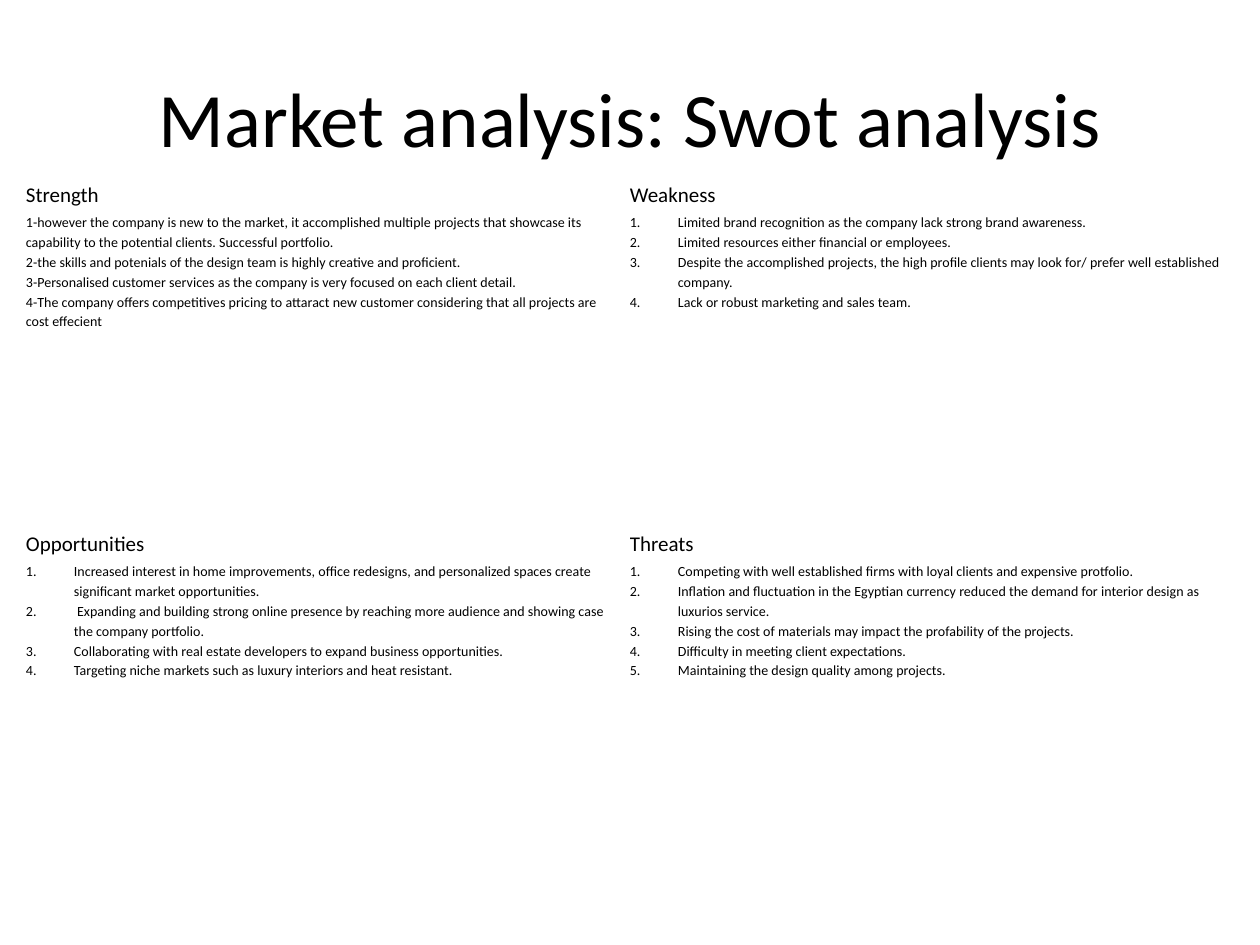
from dataclasses import dataclass

from lxml.etree import SubElement
from pptx import Presentation
from pptx.dml.color import RGBColor
from pptx.enum.text import MSO_ANCHOR as Anchor, PP_ALIGN as Align
from pptx.oxml.ns import qn
from pptx.util import Emu, Pt

SCALE = 914400 / 126
FONT = "Calibri"
COLORS = {"text": "000000"}
ROWS = (33, 316, 33, 323)
COLS = (604, 604)
INDENT = 48


@dataclass
class Panel:
    head: str
    lines: list[str]
    row: int
    col: int
    numbered: bool = True


PANELS = [
    Panel("Strength", [
        "1-however the company is new to the market, it accomplished multiple projects "
        "that showcase its capability to the potential clients. Successful portfolio.",
        "2-the skills and potenials of the design team is highly creative and proficient.",
        "3-Personalised customer services as the company is very focused on each client detail.",
        "4-The company offers competitives pricing to attaract new customer considering "
        "that all projects are cost effecient",
    ], 0, 0, numbered=False),
    Panel("Weakness", [
        "Limited brand recognition as the company lack strong brand awareness.",
        "Limited resources either financial or employees.",
        "Despite the accomplished projects, the high profile clients may look for/ "
        "prefer well established company.",
        "Lack or robust marketing and sales team.",
    ], 0, 1),
    Panel("Opportunities", [
        "Increased interest in home improvements, office redesigns, and personalized "
        "spaces create significant market opportunities.",
        " Expanding and building strong online presence by reaching more audience and "
        "showing case the company portfolio.",
        "Collaborating with real estate developers to expand business opportunities.",
        "Targeting niche markets such as luxury interiors and heat resistant.",
    ], 2, 0),
    Panel("Threats", [
        "Competing with well established firms with loyal clients and expensive protfolio.",
        "Inflation and fluctuation in the Egyptian currency reduced the demand for "
        "interior design as luxurios service.",
        "Rising the cost of materials may impact the profability of the projects.",
        "Difficulty in meeting client expectations.",
        "Maintaining the design quality among projects.",
    ], 2, 1),
]


def px(size: int) -> Emu:
    return Emu(round(size * SCALE))


def style(para, size: int) -> None:
    for run in para.runs:
        font = run.font
        font.name, font.size, font.bold = FONT, Pt(size), False
        font.color.rgb = RGBColor.from_string(COLORS["text"])


def number(para) -> None:
    """Give the paragraph an automatic number and a hanging indent."""
    props = para._p.get_or_add_pPr()
    props.set("marL", str(px(INDENT)))
    props.set("indent", str(-px(INDENT)))
    SubElement(props, qn("a:buAutoNum"), type="arabicPeriod")


def fill_cell(cell, lines: list[str], size: int, numbered: bool = False) -> None:
    cell.fill.background()
    cell.margin_left = cell.margin_right = px(5)
    cell.margin_top = cell.margin_bottom = 0
    cell.vertical_anchor = Anchor.TOP
    cell.text_frame.text = "\n".join(lines)
    for para in cell.text_frame.paragraphs:
        if numbered:
            number(para)
        para.line_spacing = 1.15
        style(para, size)


def add_title(slide, text: str) -> None:
    title = slide.shapes.title
    title.left, title.top = px(63), px(38)
    title.width, title.height = px(1134), px(158)
    frame = title.text_frame
    frame.text = text
    frame.vertical_anchor = Anchor.MIDDLE
    frame.paragraphs[0].alignment = Align.CENTER
    style(frame.paragraphs[0], 44)


def add_grid(slide) -> None:
    frame = slide.shapes.add_table(len(ROWS), len(COLS), px(21), px(179),
                                   px(sum(COLS)), px(sum(ROWS)))
    table = frame.table
    table.first_row = table.horz_banding = False
    for row, height in zip(table.rows, ROWS):
        row.height = px(height)
    for col, width in zip(table.columns, COLS):
        col.width = px(width)
    for panel in PANELS:
        fill_cell(table.cell(panel.row, panel.col), [panel.head], 12)
        fill_cell(table.cell(panel.row + 1, panel.col), panel.lines, 8, panel.numbered)


def main() -> None:
    deck = Presentation()
    deck.slide_width, deck.slide_height = px(1260), px(945)
    slide = deck.slides.add_slide(deck.slide_layouts[5])
    add_title(slide, "Market analysis: Swot analysis")
    add_grid(slide)
    deck.save("out.pptx")


if __name__ == "__main__":
    main()
